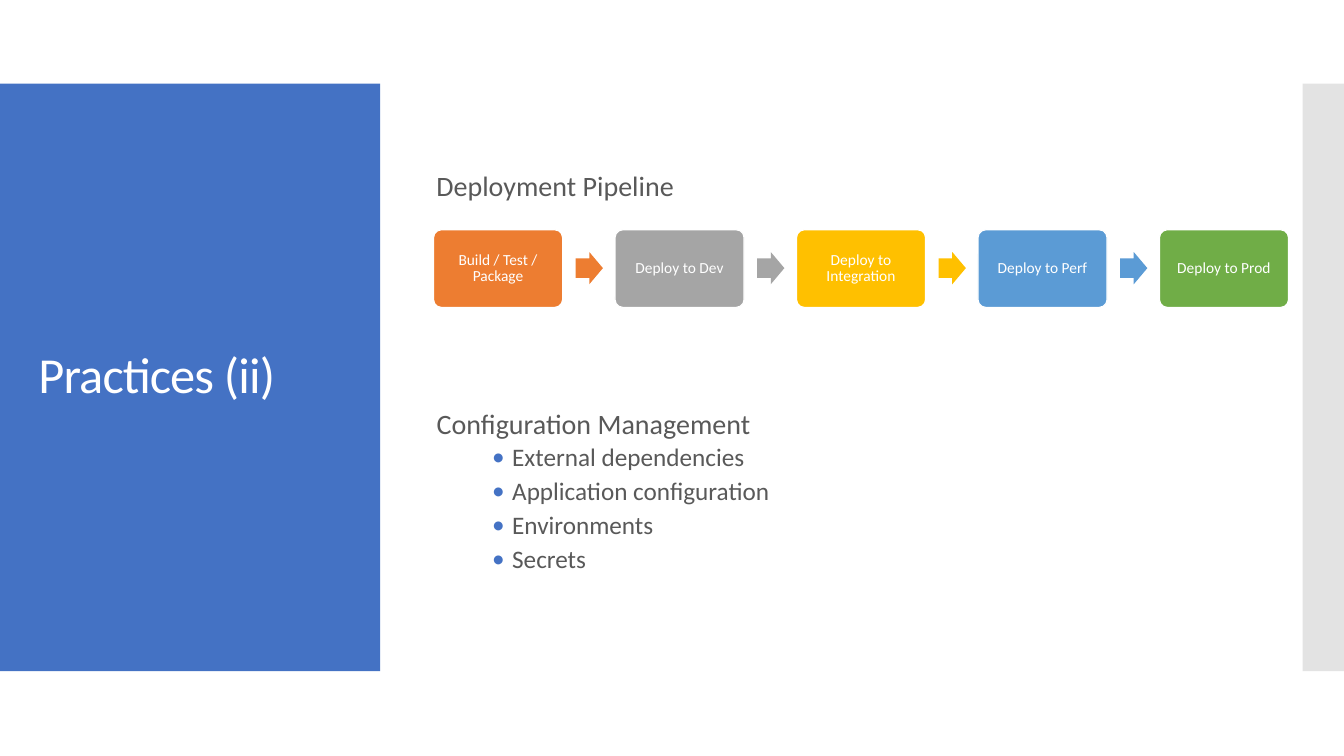
from dataclasses import dataclass

from lxml import etree
from pptx import Presentation
from pptx import util as u
from pptx.dml.color import RGBColor
from pptx.enum import shapes, text
from pptx.oxml import ns

COLORS = {
    "blue": "4472C4", "gray": "C8C8C8", "white": "FFFFFF", "ink": "595959",
    "orange": "ED7D31", "silver": "A5A5A5", "gold": "FFC000",
    "sky": "5B9BD5", "green": "70AD47",
}
FONT = "Calibri"


@dataclass
class Area:
    left: float
    top: float
    width: float
    height: float

    def lengths(self) -> list:
        return [u.Inches(n) for n in (self.left, self.top, self.width, self.height)]


@dataclass
class Stage:
    label: str
    color: str


STAGES = [
    Stage("Build / Test / Package", "orange"),
    Stage("Deploy to Dev", "silver"),
    Stage("Deploy to Integration", "gold"),
    Stage("Deploy to Perf", "sky"),
    Stage("Deploy to Prod", "green"),
]
TOPICS = ["External dependencies", "Application configuration", "Environments", "Secrets"]
FIRST_STAGE = Area(4.3, 2.28, 1.28, 0.77)
FIRST_ARROW = Area(5.71, 2.5, 0.27, 0.32)
STAGE_PITCH = 1.8


def place(shape, area: Area) -> None:
    shape.left, shape.top, shape.width, shape.height = area.lengths()


def add_block(page, kind, area: Area, color: str, adjustments=()):
    """Add a filled preset shape without outline or shadow."""
    block = page.shapes.add_shape(kind, *area.lengths())
    block.shadow.inherit = False
    block.fill.solid()
    block.fill.fore_color.rgb = RGBColor.from_string(COLORS[color])
    block.line.fill.background()
    for index, value in enumerate(adjustments):
        block.adjustments[index] = value
    return block


def write(para, words: str, *, size: float, color: str = "ink", align=text.PP_ALIGN.LEFT,
          line: float = 0.9, before: float = 0, after: float = 0, tracking: int = 0,
          bullet: bool = False) -> None:
    """Fill one paragraph and format it."""
    span = para.add_run()
    span.text = words
    span.font.name = FONT
    span.font.size = u.Pt(size)
    span.font.color.rgb = RGBColor.from_string(COLORS[color])
    if tracking:
        span.font._element.set("spc", str(tracking))
    para.alignment = align
    para.line_spacing = line
    para.space_before, para.space_after = u.Pt(before), u.Pt(after)
    para.level = 1 if bullet else 0

    properties = para._p.get_or_add_pPr()
    properties.set("marL", str(u.Inches(0.75 if bullet else 0)))
    properties.set("indent", str(u.Inches(-0.2 if bullet else 0)))
    if bullet:
        tint = etree.SubElement(properties, ns.qn("a:buClr"))
        etree.SubElement(tint, ns.qn("a:srgbClr")).set("val", COLORS["blue"])
        etree.SubElement(properties, ns.qn("a:buFont")).set("typeface", FONT)
        etree.SubElement(properties, ns.qn("a:buChar")).set("char", "•")
    else:
        etree.SubElement(properties, ns.qn("a:buNone"))


def add_side_bands(page) -> None:
    rectangle = shapes.MSO_SHAPE.RECTANGLE
    title_band = add_block(page, rectangle, Area(0, 0.83, 3.77, 5.83), "blue")
    edge_band = add_block(page, rectangle, Area(12.92, 0.83, 0.42, 5.83), "gray")
    shade = edge_band.element.find(".//" + ns.qn("a:srgbClr"))
    etree.SubElement(shade, ns.qn("a:alpha")).set("val", "50000")
    # Bands lie behind the placeholders
    for band in (title_band, edge_band):
        page.shapes.title.element.addprevious(band.element)


def fill_placeholders(page) -> None:
    title, body = page.shapes.title, page.placeholders[1]
    place(title, Area(0.28, 1.23, 3.22, 5.03))
    place(body, Area(4.23, 3.7, 8, 2.84))
    for holder in (title, body):
        frame = holder.text_frame
        frame.word_wrap = True
        frame.auto_size = text.MSO_AUTO_SIZE.NONE
        frame.vertical_anchor = text.MSO_ANCHOR.MIDDLE
    write(title.text_frame.paragraphs[0], "Practices (ii)", size=36, color="white", tracking=-60)

    body.text_frame.margin_bottom = u.Inches(0.52)
    write(body.text_frame.paragraphs[0], "Configuration Management", size=20, before=12)
    for topic in TOPICS:
        write(body.text_frame.add_paragraph(), topic, size=18, before=2.5, after=2.5, bullet=True)


def add_pipeline(page) -> None:
    for index, stage in enumerate(STAGES):
        shift = index * STAGE_PITCH
        area = Area(FIRST_STAGE.left + shift, FIRST_STAGE.top, FIRST_STAGE.width, FIRST_STAGE.height)
        box = add_block(page, shapes.MSO_SHAPE.ROUNDED_RECTANGLE, area, stage.color, [0.1])
        box.line.color.rgb = RGBColor.from_string(COLORS["white"])
        box.line.width = u.Pt(0.85)
        frame = box.text_frame
        frame.word_wrap = True
        frame.vertical_anchor = text.MSO_ANCHOR.MIDDLE
        frame.margin_left = frame.margin_right = u.Inches(0.07)
        frame.margin_top = frame.margin_bottom = u.Inches(0.07)
        write(frame.paragraphs[0], stage.label, size=11, color="white", align=text.PP_ALIGN.CENTER)

        # Arrow to the next stage
        if index < len(STAGES) - 1:
            area = Area(FIRST_ARROW.left + shift, FIRST_ARROW.top, FIRST_ARROW.width, FIRST_ARROW.height)
            add_block(page, shapes.MSO_SHAPE.RIGHT_ARROW, area, stage.color, [0.6, 0.5])


def add_pipeline_heading(page) -> None:
    heading = page.shapes.add_textbox(*Area(4.23, 1.62, 2.63, 0.44).lengths())
    heading.text_frame.word_wrap = False
    heading.text_frame.auto_size = text.MSO_AUTO_SIZE.SHAPE_TO_FIT_TEXT
    write(heading.text_frame.paragraphs[0], "Deployment Pipeline", size=20, line=1.0)


def main() -> None:
    deck = Presentation()
    deck.slide_width, deck.slide_height = u.Inches(13.33), u.Inches(7.5)
    page = deck.slides.add_slide(deck.slide_layouts[1])
    add_side_bands(page)
    fill_placeholders(page)
    add_pipeline(page)
    add_pipeline_heading(page)
    deck.save("out.pptx")


if __name__ == "__main__":
    main()
